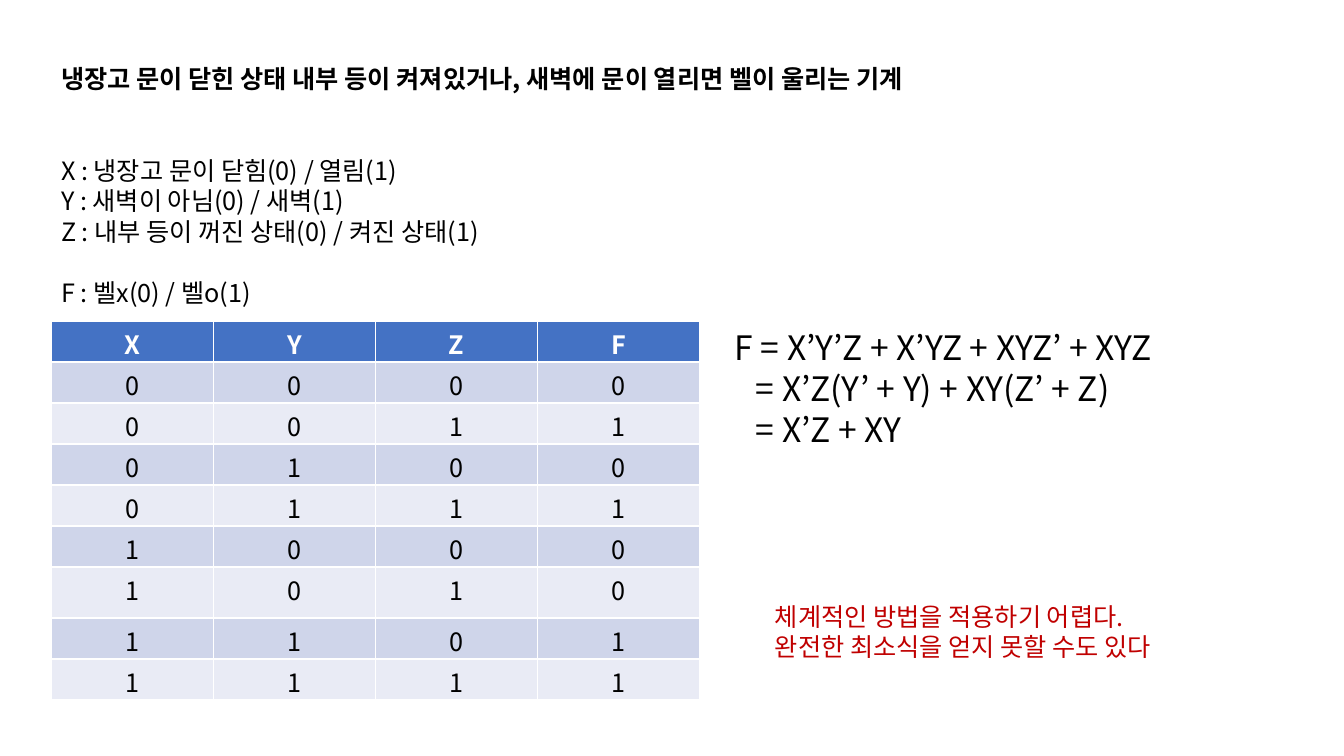
from dataclasses import dataclass
from itertools import product

from lxml import etree
from pptx import Presentation
from pptx import util as u
from pptx.dml.color import RGBColor
from pptx.enum import text
from pptx.oxml.ns import qn

EMU_PER_PX = 914400 / 100.8


@dataclass(frozen=True)
class Theme:
    font: str = "Noto Sans CJK KR"
    ink: str = "000000"
    white: str = "FFFFFF"
    warning: str = "C00000"
    header: str = "4472C4"
    bands: tuple[str, str] = ("CFD5EA", "E9EBF5")
    body_size: int = 18
    formula_size: int = 24
    leading: float = 1.21


@dataclass(frozen=True)
class Box:
    left: int
    top: int
    width: int
    height: int


@dataclass(frozen=True)
class Line:
    wording: str
    indent: int = 0
    lines_before: int = 0


@dataclass(frozen=True)
class Style:
    size: int
    color: str
    bold: bool = False
    align: text.PP_ALIGN = text.PP_ALIGN.LEFT


THEME = Theme()
PLAIN = Style(THEME.body_size, THEME.ink)
STRONG = Style(THEME.body_size, THEME.ink, bold=True)
FORMULA = Style(THEME.formula_size, THEME.ink)
WARNING = Style(THEME.body_size, THEME.warning)
HEADER_CELL = Style(THEME.body_size, THEME.white, True, text.PP_ALIGN.CENTER)
VALUE_CELL = Style(THEME.body_size, THEME.ink, False, text.PP_ALIGN.CENTER)

HEADING = [Line("냉장고 문이 닫힌 상태 내부 등이 켜져있거나, 새벽에 문이 열리면 벨이 울리는 기계")]
VARIABLES = [
    Line("X : 냉장고 문이 닫힘(0) / 열림(1)"),
    Line("Y : 새벽이 아님(0) / 새벽(1)"),
    Line("Z : 내부 등이 꺼진 상태(0) / 켜진 상태(1)"),
    Line("F : 벨x(0) / 벨o(1)", lines_before=1),
]
DERIVATION = [
    Line("F = X’Y’Z + X’YZ + XYZ’ + XYZ"),
    Line("= X’Z(Y’ + Y) + XY(Z’ + Z)", indent=21),
    Line("= X’Z + XY", indent=21),
]
DRAWBACKS = [
    Line("체계적인 방법을 적용하기 어렵다."),
    Line("완전한 최소식을 얻지 못할 수도 있다"),
]


def px(length: int) -> u.Emu:
    return u.Emu(round(length * EMU_PER_PX))


def write_lines(frame, lines: list[Line], style: Style) -> None:
    """Fill a text frame with evenly led, unbulleted paragraphs."""
    leading = style.size * THEME.leading
    for number, line in enumerate(lines):
        paragraph = frame.add_paragraph() if number else frame.paragraphs[0]
        paragraph.text = line.wording
        paragraph.alignment = style.align
        paragraph.line_spacing = u.Pt(leading)
        paragraph.space_before = u.Pt(line.lines_before * leading)
        font = paragraph.font
        font.name, font.size, font.bold = THEME.font, u.Pt(style.size), style.bold
        font.color.rgb = RGBColor.from_string(style.color)

        # Indent, no bullet, and the same face for Korean letters
        properties = paragraph._p.pPr
        properties.set("marL", str(px(line.indent)))
        properties.set("indent", "0")
        defaults = properties.find(qn("a:defRPr"))
        defaults.addprevious(etree.Element(qn("a:buNone")))
        etree.SubElement(defaults, qn("a:ea"), typeface=THEME.font)


def place_text(shape, box: Box, lines: list[Line], style: Style) -> None:
    shape.left, shape.top = px(box.left), px(box.top)
    shape.width, shape.height = px(box.width), px(box.height)
    frame = shape.text_frame
    frame.word_wrap = True
    frame.auto_size = text.MSO_AUTO_SIZE.NONE
    frame.vertical_anchor = text.MSO_ANCHOR.TOP
    write_lines(frame, lines, style)


def add_text(slide, box: Box, lines: list[Line], style: Style) -> None:
    place_text(slide.shapes.add_textbox(0, 0, 0, 0), box, lines, style)


def add_truth_table(slide, box: Box) -> None:
    inputs = product((0, 1), repeat=3)
    rows = [("X", "Y", "Z", "F")]
    rows += [(x, y, z, int((not x and z) or (x and y))) for x, y, z in inputs]
    table = slide.shapes.add_table(
        len(rows), len(rows[0]), px(box.left), px(box.top), px(box.width), px(box.height)
    ).table
    tall_row = 6
    for number, values in enumerate(rows):
        table.rows[number].height = px(51 if number == tall_row else 41)
        fill = THEME.bands[(number - 1) % 2] if number else THEME.header
        for column, value in enumerate(values):
            cell = table.cell(number, column)
            cell.fill.solid()
            cell.fill.fore_color.rgb = RGBColor.from_string(fill)
            cell.margin_top, cell.margin_bottom = px(10), 0
            style = VALUE_CELL if number else HEADER_CELL
            write_lines(cell.text_frame, [Line(str(value))], style)


def main() -> None:
    deck = Presentation()
    deck.slide_width, deck.slide_height = px(1344), px(756)
    slide = deck.slides.add_slide(deck.slide_layouts[1])

    # Problem and its variables
    place_text(slide.shapes.title, Box(51, 58, 975, 41), HEADING, STRONG)
    place_text(slide.placeholders[1], Box(51, 150, 975, 163), VARIABLES, PLAIN)

    # Truth table, derivation and drawbacks
    add_truth_table(slide, Box(51, 321, 649, 378))
    add_text(slide, Box(725, 322, 497, 132), DERIVATION, FORMULA)
    add_text(slide, Box(765, 596, 457, 72), DRAWBACKS, WARNING)

    deck.save("out.pptx")


if __name__ == "__main__":
    main()
